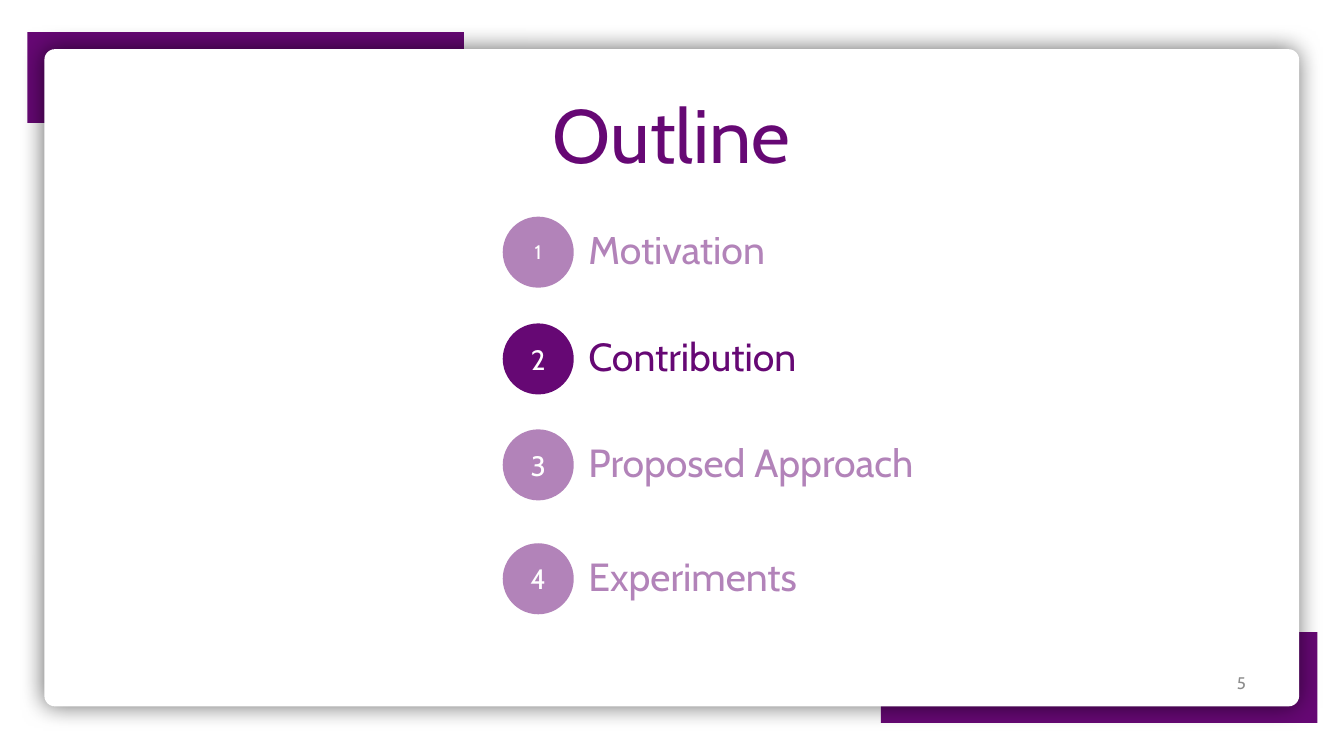
from lxml.etree import SubElement
from pptx import Presentation
from pptx.dml.color import RGBColor
from pptx.enum.shapes import MSO_SHAPE
from pptx.enum.text import MSO_ANCHOR, MSO_AUTO_SIZE, PP_ALIGN
from pptx.oxml.ns import qn
from pptx.util import Cm, Pt

# Content
TITLE = "Outline"
PAGE = "5"
CURRENT = 2
# label, top of dot, width of label, size of number
ITEMS = [
    ("Motivation", 5.46, 13.11, 14),
    ("Contribution", 8.15, 13.59, 20),
    ("Proposed Approach", 10.82, 14.27, 20),
    ("Experiments", 13.69, 12.8, 20),
]

# Look
FONT = "Cabin"
PURPLE, WHITE, GREY = "660874", "FFFFFF", "8C8C8C"
WIDE, HIGH = 33.87, 19.05
CARD = (1.12, 1.24, 31.62, 16.56)
CORNERS = [(22.2, 15.93, 11, 2.29), (0.69, 0.81, 11, 2.29)]
DOT, DOT_X = 1.79, 12.67
LABEL_X, LABEL_H = 14.58, 1.32

deck = Presentation()
deck.slide_width, deck.slide_height = Cm(WIDE), Cm(HIGH)
slide = deck.slides.add_slide(deck.slide_layouts[6])


def paint(fill, color):
    fill.solid()
    fill.fore_color.rgb = RGBColor.from_string(color)


def fade(node, share=50):
    for color in node.iter(qn("a:srgbClr")):
        SubElement(color, qn("a:alpha"), val=str(share * 1000))


def draw(kind, box, color):
    shape = slide.shapes.add_shape(kind, *map(Cm, box))
    shape.shadow.inherit = False
    paint(shape.fill, color)
    shape.line.fill.background()
    return shape


def write(shape, text, size, color, align, anchor=MSO_ANCHOR.MIDDLE):
    frame = shape.text_frame
    frame.word_wrap = True
    frame.vertical_anchor = anchor
    para = frame.paragraphs[0]
    para.text = text
    para.alignment = align
    para.font.name, para.font.size = FONT, Pt(size)
    paint(para.font.fill, color)
    return para


def label(box, *style):
    return write(slide.shapes.add_textbox(*map(Cm, box)), *style)


# Frame: two corners under a card with a soft shadow
for box in CORNERS:
    draw(MSO_SHAPE.RECTANGLE, box, PURPLE)
card = draw(MSO_SHAPE.ROUNDED_RECTANGLE, CARD, WHITE)
card.adjustments[0] = 0.016
effects = card.element.spPr.find(qn("a:effectLst"))
glow = SubElement(effects, qn("a:outerShdw"), blurRad=str(Cm(0.6)),
                  algn="ctr", rotWithShape="0")
SubElement(glow, qn("a:srgbClr"), val="000000")
fade(glow, 60)

# Page number and title
label((24.03, 16.69, 7.62, 1.02), PAGE, 12, GREY, PP_ALIGN.RIGHT)
title = label((11.76, 2.36, 10.34, 2.13), TITLE, 54, PURPLE,
              PP_ALIGN.CENTER, MSO_ANCHOR.TOP)
title.line_spacing = 0.9

# Numbered items, all but the current one faded
for number, (name, top, width, size) in enumerate(ITEMS, 1):
    dot = draw(MSO_SHAPE.OVAL, (DOT_X, top, DOT, DOT), PURPLE)
    gap = (DOT - LABEL_H) / 2
    box = slide.shapes.add_textbox(
        *map(Cm, (LABEL_X, top + gap, width, LABEL_H)))
    para = write(box, name, 28, PURPLE, PP_ALIGN.LEFT, MSO_ANCHOR.TOP)
    para.line_spacing = 0.9
    box.text_frame.auto_size = MSO_AUTO_SIZE.SHAPE_TO_FIT_TEXT
    if number != CURRENT:
        fade(dot.element.spPr)
        fade(box.element)
    write(dot, str(number), size, WHITE, PP_ALIGN.CENTER)

deck.save("out.pptx")
